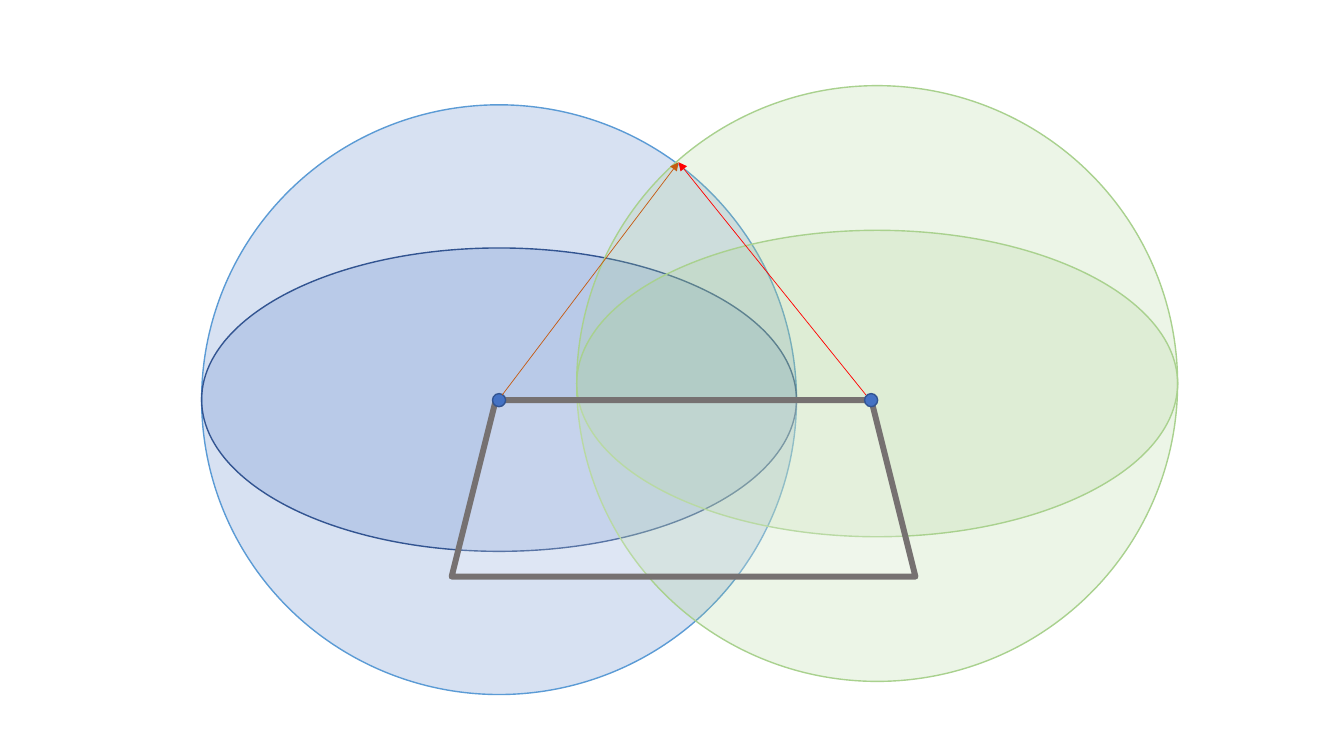
"""Draw two overlapping spheres that meet above a trapezoid base."""
from lxml import etree
from pptx import Presentation
from pptx import util as u
from pptx.dml.color import RGBColor
from pptx.enum import shapes as sh
from pptx.oxml import ns

BLUE = RGBColor(0x44, 0x72, 0xC4)
SKY = RGBColor(0x5B, 0x9B, 0xD5)
NAVY = RGBColor(0x32, 0x54, 0x91)
GREEN = RGBColor(0xA9, 0xD1, 0x8E)
GRAY = RGBColor(0x76, 0x71, 0x71)
WHITE = RGBColor(0xFF, 0xFF, 0xFF)
RUST = RGBColor(0xC5, 0x5A, 0x11)
RED = RGBColor(0xFF, 0x00, 0x00)
OVAL = sh.MSO_SHAPE.OVAL
TRAP = sh.MSO_SHAPE.TRAPEZOID


class Sketch:
    def __init__(self, deck):
        self.slide = deck.slides.add_slide(deck.slide_layouts[6])
        self.edge = 1
        self.thin = 0.5

    def shape(self, kind, box, fill, line, alpha=100, width=None, home=None):
        home = home or self.slide
        item = home.shapes.add_shape(kind, *map(u.Inches, box))
        item.shadow.inherit = False
        item.fill.solid()
        item.fill.fore_color.rgb = fill
        if alpha < 100:
            tint = item.fill._xPr.find(ns.qn("a:solidFill"))[0]
            etree.SubElement(tint, ns.qn("a:alpha"), val=str(alpha * 1000))
        item.line.color.rgb = line
        item.line.width = u.Pt(width or self.edge)
        return item

    def sphere(self, box, disc, fill, rim, ring):
        x, y, w, h = box
        group = self.slide.shapes.add_group_shape()
        self.shape(OVAL, box, fill, rim, 21, home=group)
        flat = (x, y + (h - disc) / 2, w, disc)
        self.shape(OVAL, flat, fill, ring, 20, home=group)

    def dot(self, x, y, size=0.13):
        box = (x - size / 2, y - size / 2, size, size)
        self.shape(OVAL, box, BLUE, NAVY)

    def arrow(self, start, end, color):
        ends = map(u.Inches, (*start, *end))
        item = self.slide.shapes.add_connector(sh.MSO_CONNECTOR.STRAIGHT, *ends)
        item.line.color.rgb = color
        item.line.width = u.Pt(self.thin)
        line = item.line._get_or_add_ln()
        etree.SubElement(line, ns.qn("a:tailEnd"), type="triangle")
        etree.SubElement(item._element.spPr, ns.qn("a:effectLst"))


def main():
    deck = Presentation()
    deck.slide_width = u.Inches(13.33)
    deck.slide_height = u.Inches(7.5)
    art = Sketch(deck)
    art.sphere((2, 1.04, 5.9, 5.85), 3.01, BLUE, SKY, NAVY)
    art.sphere((5.72, 0.85, 5.96, 5.91), 3.04, GREEN, GREEN, GREEN)
    art.shape(TRAP, (4.48, 3.97, 4.6, 1.75), WHITE, GRAY, 19, 4.25)
    for x in (4.95, 8.64):
        art.dot(x, 3.97)
    peak = (6.73, 1.61)
    for x, color in ((4.98, RUST), (8.59, RED)):
        art.arrow((x, 3.92), peak, color)
    deck.save("out.pptx")


if __name__ == "__main__":
    main()
